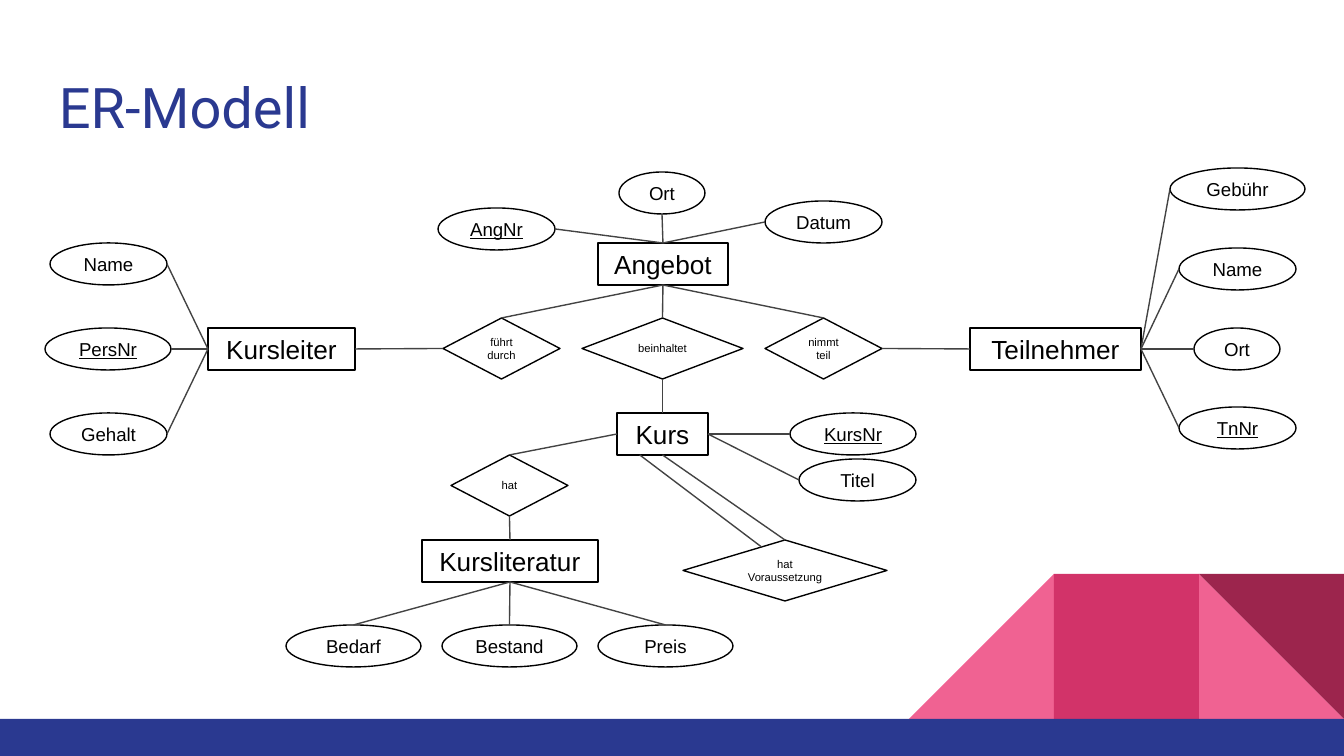
"""Build a slide with the ER model of a course database."""
from typing import NamedTuple

from lxml import etree
from pptx import Presentation
from pptx.dml.color import RGBColor
from pptx.enum.shapes import MSO_CONNECTOR, MSO_SHAPE
from pptx.enum.text import MSO_ANCHOR, PP_ALIGN
from pptx.oxml.ns import qn
from pptx.util import Pt

RECT = MSO_SHAPE.RECTANGLE
OVAL = MSO_SHAPE.OVAL
RHOMB = MSO_SHAPE.FLOWCHART_DECISION
WEDGE = MSO_SHAPE.RIGHT_TRIANGLE
LINE = MSO_CONNECTOR.STRAIGHT
MIDDLE, UPPER = MSO_ANCHOR.MIDDLE, MSO_ANCHOR.TOP
CENTER, START = PP_ALIGN.CENTER, PP_ALIGN.LEFT

WIDE, HIGH = 1344, 756
SCALE = 9144000 / WIDE
INSET = 13
TILE = 145
BASE = 719
BLUE, PINK, RED, WINE = "2A3990", "F06292", "D23369", "9C254D"
BLACK, GRAY = "000000", "434343"

TOP, LEFT, BOTTOM, RIGHT = (0.5, 0), (0, 0.5), (0.5, 1), (1, 0.5)
Side = tuple[float, float]


class Style(NamedTuple):
    """Height in px and text size in points of one kind of node."""
    high: int
    size: int


class Node(NamedTuple):
    """An entity, attribute or relation of the model."""
    kind: int
    left: int
    top: int
    wide: int
    text: str
    under: bool = False


class Fan(NamedTuple):
    """Lines from one side of a hub to sides of other nodes."""
    hub: str
    side: Side
    ends: dict[str, Side]


class Tile(NamedTuple):
    """A plain piece of the corner pattern."""
    kind: int
    left: int
    color: str
    turn: int = 0


STYLES = {RECT: Style(42, 14), OVAL: Style(42, 10), RHOMB: Style(61, 6)}

TILES = [
    Tile(WEDGE, WIDE - TILE, PINK),
    Tile(WEDGE, WIDE - 3 * TILE, PINK, 270),
    Tile(RECT, WIDE - 2 * TILE, RED),
    Tile(WEDGE, WIDE - TILE, WINE, 180),
]

NODES = {
    "offer": Node(RECT, 598, 243, 130, "Angebot"),
    "course": Node(RECT, 617, 413, 91, "Kurs"),
    "leader": Node(RECT, 208, 328, 147, "Kursleiter"),
    "guest": Node(RECT, 970, 328, 171, "Teilnehmer"),
    "books": Node(RECT, 422, 540, 176, "Kursliteratur"),
    "offer id": Node(OVAL, 438, 208, 117, "AngNr", True),
    "offer place": Node(OVAL, 619, 172, 86, "Ort"),
    "date": Node(OVAL, 765, 201, 117, "Datum"),
    "leads": Node(RHOMB, 443, 318, 117, "führt durch"),
    "contains": Node(RHOMB, 582, 318, 161, "beinhaltet"),
    "joins": Node(RHOMB, 765, 318, 117, "nimmt teil"),
    "has": Node(RHOMB, 451, 455, 117, "hat"),
    "requires": Node(RHOMB, 683, 540, 204, "hat Voraussetzung"),
    "fee": Node(OVAL, 1170, 168, 135, "Gebühr"),
    "guest name": Node(OVAL, 1179, 248, 117, "Name"),
    "guest place": Node(OVAL, 1194, 328, 86, "Ort"),
    "guest id": Node(OVAL, 1179, 407, 117, "TnNr", True),
    "need": Node(OVAL, 286, 625, 135, "Bedarf"),
    "stock": Node(OVAL, 442, 625, 135, "Bestand"),
    "price": Node(OVAL, 598, 625, 135, "Preis"),
    "course id": Node(OVAL, 790, 413, 126, "KursNr", True),
    "title": Node(OVAL, 799, 459, 117, "Titel"),
    "leader name": Node(OVAL, 50, 243, 117, "Name"),
    "leader id": Node(OVAL, 45, 328, 126, "PersNr", True),
    "salary": Node(OVAL, 50, 413, 117, "Gehalt"),
}

FANS = [
    Fan("offer", TOP, {"offer id": RIGHT, "offer place": BOTTOM, "date": LEFT}),
    Fan("offer", BOTTOM, {"leads": TOP, "contains": TOP, "joins": TOP}),
    Fan("leader", LEFT, {"leader name": RIGHT, "leader id": RIGHT, "salary": RIGHT}),
    Fan("leader", RIGHT, {"leads": LEFT}),
    Fan("guest", LEFT, {"joins": RIGHT}),
    Fan("guest", RIGHT, {"fee": LEFT, "guest name": LEFT,
                         "guest place": LEFT, "guest id": LEFT}),
    Fan("course", TOP, {"contains": BOTTOM}),
    Fan("course", LEFT, {"has": TOP}),
    Fan("course", RIGHT, {"course id": LEFT, "title": LEFT}),
    Fan("course", BOTTOM, {"requires": TOP}),
    Fan("course", (0.25, 1), {"requires": (0.385, 0.115)}),
    Fan("books", TOP, {"has": BOTTOM}),
    Fan("books", BOTTOM, {"need": TOP, "stock": TOP, "price": TOP}),
]


def px(size: float) -> int:
    """Turn px into EMU."""
    return round(size * SCALE)


def paint(color: str) -> RGBColor:
    """Turn a hex string into a colour."""
    return RGBColor.from_string(color)


def write(shape, text: str, *, size: int, font: str = "Arial", color: str = BLACK,
          align=CENTER, anchor=MIDDLE, under: bool = False) -> None:
    """Put formatted text into a shape."""
    frame = shape.text_frame
    frame.word_wrap = True
    frame.vertical_anchor = anchor
    frame.margin_left = frame.margin_right = px(INSET)
    frame.margin_top = frame.margin_bottom = px(INSET)
    part = frame.paragraphs[0]
    part.alignment = align
    run = part.add_run()
    run.text = text
    run.font.name = font
    run.font.size = Pt(size)
    run.font.underline = under
    run.font.color.rgb = paint(color)


def draw_block(slide, kind: int, box: tuple[int, ...], color: str, turn: int = 0) -> None:
    """Draw a filled shape with no outline."""
    shape = slide.shapes.add_shape(kind, *map(px, box))
    shape.shadow.inherit = False
    shape.rotation = turn
    shape.fill.solid()
    shape.fill.fore_color.rgb = paint(color)
    shape.line.fill.background()


def draw_node(slide, node: Node) -> None:
    """Draw an outlined node with its label."""
    style = STYLES[node.kind]
    box = (node.left, node.top, node.wide, style.high)
    shape = slide.shapes.add_shape(node.kind, *map(px, box))
    shape.shadow.inherit = False
    shape.fill.background()
    shape.line.color.rgb = paint(BLACK)
    shape.line.width = Pt(0.75)
    write(shape, node.text, size=style.size, under=node.under)


def spot(key: str, side: Side) -> tuple[int, int]:
    """Find the point at a side of a node, in EMU."""
    node = NODES[key]
    high = STYLES[node.kind].high
    return px(node.left + side[0] * node.wide), px(node.top + side[1] * high)


def draw_fan(slide, fan: Fan) -> None:
    """Draw the lines from a hub to its ends."""
    for key, side in fan.ends.items():
        line = slide.shapes.add_connector(LINE, *spot(fan.hub, fan.side), *spot(key, side))
        line.line.color.rgb = paint(GRAY)
        line.line.width = Pt(0.75)
        etree.SubElement(line._element.spPr, qn("a:effectLst"))


def main() -> None:
    """Build and save the slide."""
    deck = Presentation()
    deck.slide_width, deck.slide_height = px(WIDE), px(HIGH)
    slide = deck.slides.add_slide(deck.slide_layouts[6])
    for tile in TILES:
        box = (tile.left, BASE - TILE, TILE, TILE)
        draw_block(slide, tile.kind, box, tile.color, tile.turn)
    draw_block(slide, RECT, (0, BASE, WIDE, HIGH - BASE), BLUE)
    head = slide.shapes.add_textbox(*map(px, (46, 60, 1253, 89)))
    write(head, "ER-Modell", size=30, font="Roboto", color=BLUE, align=START, anchor=UPPER)
    for node in NODES.values():
        draw_node(slide, node)
    for fan in FANS:
        draw_fan(slide, fan)
    deck.save("out.pptx")


if __name__ == "__main__":
    main()
